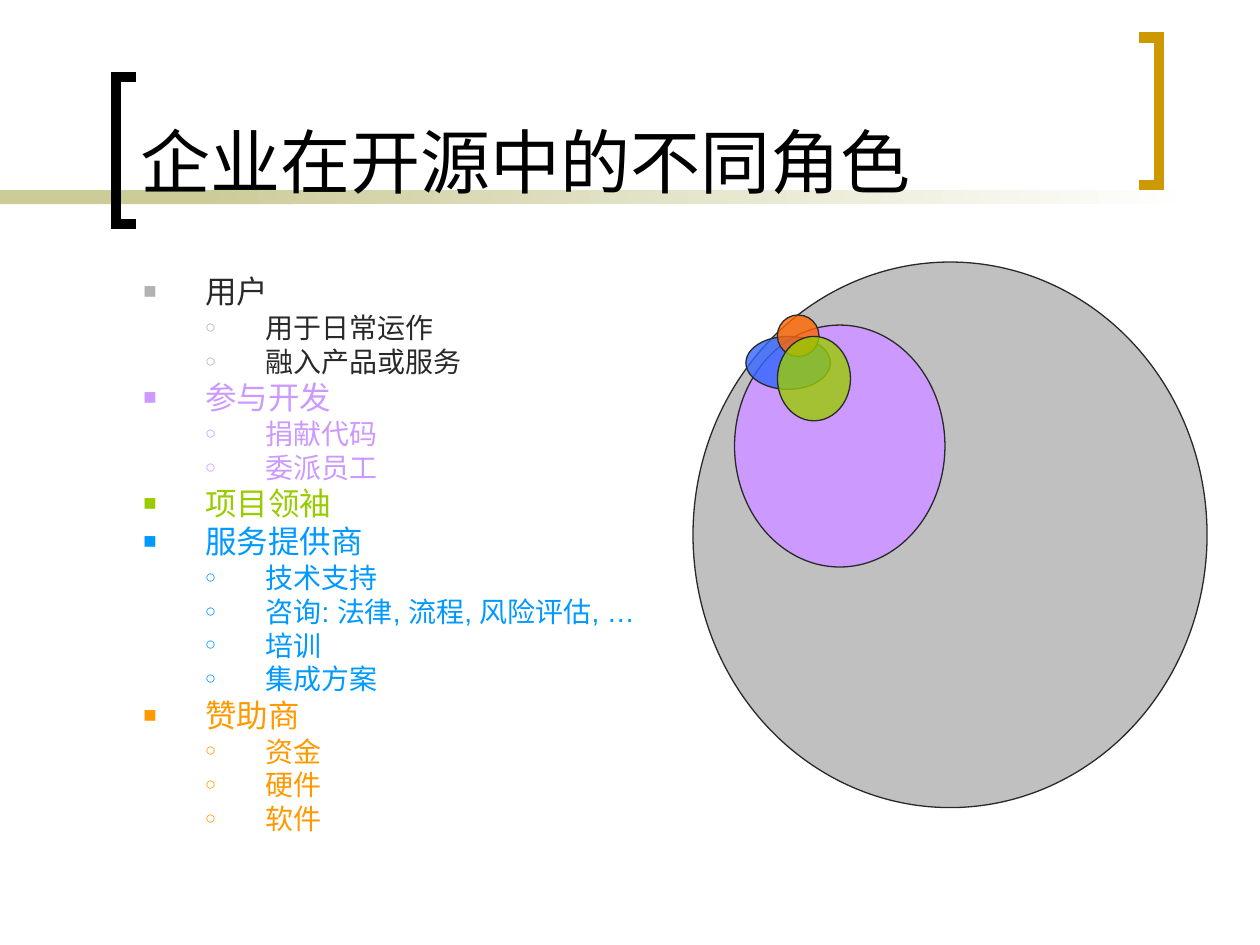
from dataclasses import dataclass

from lxml.etree import SubElement
from pptx import Presentation
from pptx.dml.color import RGBColor
from pptx.enum.shapes import MSO_SHAPE
from pptx.enum.text import MSO_ANCHOR
from pptx.oxml.ns import qn
from pptx.util import Inches, Pt


@dataclass(frozen=True)
class Theme:
    font: str = "Arial"
    title_size: int = 40
    level_sizes: tuple = (18, 16)
    black: str = "000000"
    white: str = "FFFFFF"
    ink: str = "292929"
    silver: str = "B2B2B2"
    khaki: str = "CCCC99"
    gold: str = "CC9900"
    gray: str = "C0C0C0"
    violet: str = "CC99FF"
    green: str = "99CC00"
    sky: str = "0099FF"
    amber: str = "FF9900"
    blue: str = "3366FF"
    orange: str = "FF6600"


THEME = Theme()

TITLE = "企业在开源中的不同角色"

# role, text colour, bullet colour, details
ROLES = [
    ("用户", THEME.ink, THEME.silver, ["用于日常运作", "融入产品或服务"]),
    ("参与开发", THEME.violet, THEME.violet, ["捐献代码", "委派员工"]),
    ("项目领袖", THEME.green, THEME.green, []),
    ("服务提供商", THEME.sky, THEME.sky,
     ["技术支持", "咨询: 法律, 流程, 风险评估, …", "培训", "集成方案"]),
    ("赞助商", THEME.amber, THEME.amber, ["资金", "硬件", "软件"]),
]

# left, top, width, height, colour, opacity in percent
ROLE_CIRCLES = [
    (5.5, 2.08, 4.08, 4.33, THEME.gray, 100),
    (5.83, 2.58, 1.67, 1.92, THEME.violet, 100),
    (5.92, 2.67, 0.67, 0.42, THEME.blue, 80),
    (6.17, 2.5, 0.33, 0.33, THEME.orange, 80),
    (6.17, 2.67, 0.58, 0.67, THEME.green, 80),
]

# x of the open ends, x of the spine, top, colour
BRACKETS = [(1.08, 0.92, 0.61, THEME.black), (9.04, 9.2, 0.3, THEME.gold)]
BRACKET_HEIGHT = 1.17

BAND_TOP, BAND_HEIGHT = 1.51, 0.11
BAND_SPLIT, BAND_END = (1.58, 2.33), 9.5

# bullet, size in percent, left margin, hanging indent, space before
LEVELS = [("■", 70, 0.49, 0.49, 4.5), ("○", 65, 0.97, 0.48, 4)]


def color(code):
    return RGBColor.from_string(code)


def add_shape(page, kind, left, top, width, height):
    shape = page.shapes.add_shape(
        kind, Inches(left), Inches(top), Inches(width), Inches(height))
    shape.shadow.inherit = False
    return shape


def add_band(page):
    """Draw the rule under the title: a solid start, then a fade to white."""
    fade_left, solid_right = BAND_SPLIT
    solid = add_shape(page, MSO_SHAPE.RECTANGLE, 0, BAND_TOP, solid_right, BAND_HEIGHT)
    solid.fill.solid()
    solid.fill.fore_color.rgb = color(THEME.khaki)
    fade = add_shape(page, MSO_SHAPE.RECTANGLE, fade_left, BAND_TOP,
                     BAND_END - fade_left, BAND_HEIGHT)
    fade.fill.gradient()
    fade.fill.gradient_angle = 0
    for stop, code in zip(fade.fill.gradient_stops, (THEME.khaki, THEME.white)):
        stop.color.rgb = color(code)
    for shape in (solid, fade):
        shape.line.fill.background()


def add_bracket(page, end_x, spine_x, top, code):
    bottom = top + BRACKET_HEIGHT
    corners = [(spine_x, top), (spine_x, bottom), (end_x, bottom)]
    builder = page.shapes.build_freeform(Inches(end_x), Inches(top))
    builder.add_line_segments(
        [(Inches(x), Inches(y)) for x, y in corners], close=False)
    bracket = builder.convert_to_shape()
    bracket.shadow.inherit = False
    bracket.fill.background()
    bracket.line.color.rgb = color(code)
    bracket.line.width = Pt(6)
    SubElement(bracket.line._get_or_add_ln(), qn("a:miter"), lim="800000")


def add_circle(page, left, top, width, height, code, opacity):
    circle = add_shape(page, MSO_SHAPE.OVAL, left, top, width, height)
    circle.fill.solid()
    circle.fill.fore_color.rgb = color(code)
    if opacity < 100:
        tint = circle.fill._xPr.find(".//" + qn("a:srgbClr"))
        SubElement(tint, qn("a:alpha"), val=str(opacity * 1000))
    circle.line.color.rgb = color(THEME.ink)
    circle.line.width = Pt(0.75)


def add_text_frame(page, left, top, width, height, anchor=MSO_ANCHOR.TOP):
    box = page.shapes.add_textbox(
        Inches(left), Inches(top), Inches(width), Inches(height))
    frame = box.text_frame
    frame.word_wrap = True
    frame.vertical_anchor = anchor
    return frame


def write(paragraph, text, *, size, code):
    span = paragraph.add_run()
    span.text = text
    span.font.name = THEME.font
    span.font.size = Pt(size)
    span.font.color.rgb = color(code)


def set_bullet(paragraph, level, code):
    mark, percent, margin, hanging, _ = LEVELS[level]
    properties = paragraph._p.get_or_add_pPr()
    properties.set("marL", str(Inches(margin)))
    properties.set("indent", str(-Inches(hanging)))
    tint = SubElement(properties, qn("a:buClr"))
    SubElement(tint, qn("a:srgbClr"), val=code)
    SubElement(properties, qn("a:buSzPct"), val=str(percent * 1000))
    SubElement(properties, qn("a:buFont"), typeface=THEME.font)
    SubElement(properties, qn("a:buChar"), char=mark)


def add_roles(page):
    frame = add_text_frame(page, 1.04, 2.17, 4.38, 4.75)
    lines = [(text, level, code, bullet_code)
             for role, code, bullet_code, details in ROLES
             for level, text in [(0, role)] + [(1, detail) for detail in details]]
    for index, (text, level, code, bullet_code) in enumerate(lines):
        paragraph = frame.add_paragraph() if index else frame.paragraphs[0]
        set_bullet(paragraph, level, bullet_code)
        paragraph.level = level
        paragraph.line_spacing = 0.8
        paragraph.space_before = Pt(LEVELS[level][-1] if index else 0)
        write(paragraph, text, size=THEME.level_sizes[level], code=code)


def main():
    deck = Presentation()
    deck.slide_width, deck.slide_height = Inches(10), Inches(7.5)
    page = deck.slides.add_slide(deck.slide_layouts[6])
    add_band(page)
    for bracket in BRACKETS:
        add_bracket(page, *bracket)
    title = add_text_frame(page, 1.02, 0.11, 7.83, 1.55, MSO_ANCHOR.BOTTOM)
    write(title.paragraphs[0], TITLE, size=THEME.title_size, code=THEME.black)
    add_roles(page)
    for circle in ROLE_CIRCLES:
        add_circle(page, *circle)
    deck.save("out.pptx")


if __name__ == "__main__":
    main()
